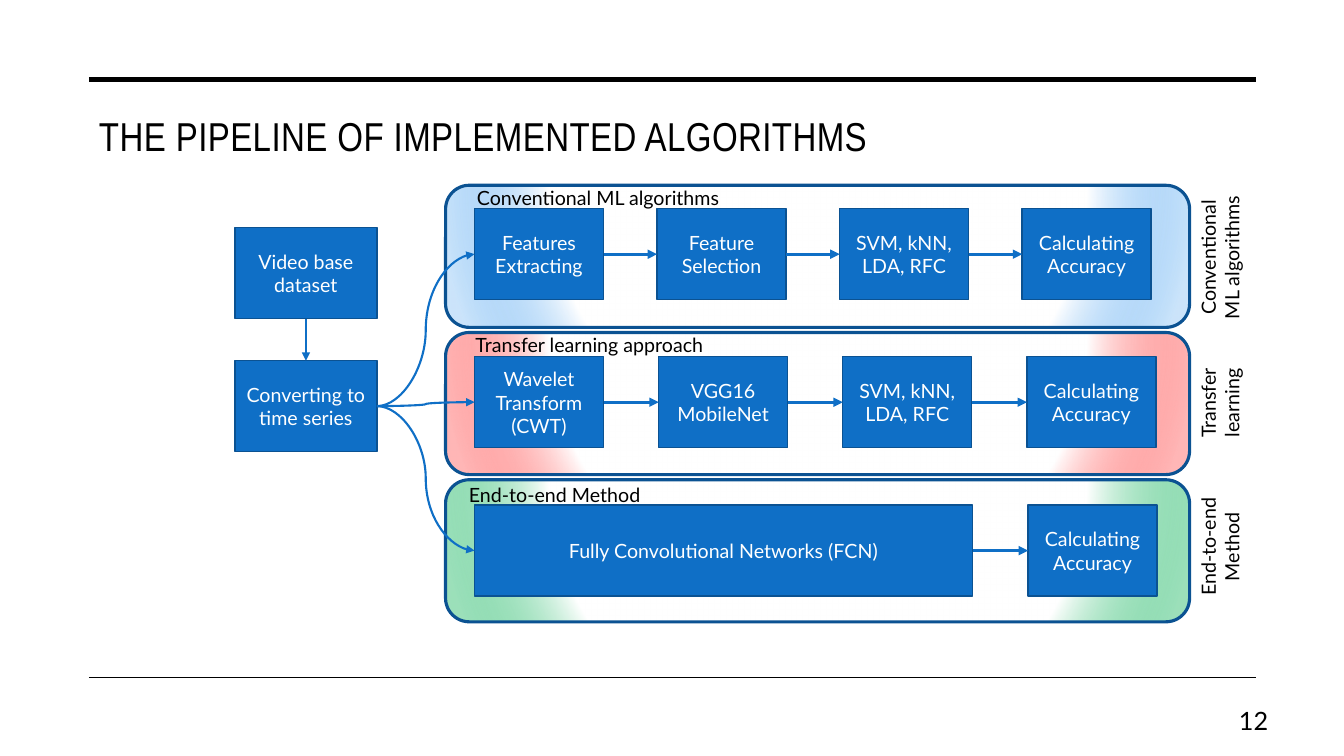
from pptx import Presentation
from pptx.dml.color import RGBColor
from pptx.enum.shapes import MSO_CONNECTOR, MSO_SHAPE
from pptx.enum.text import MSO_ANCHOR, MSO_AUTO_SIZE, PP_ALIGN
from pptx.oxml import parse_xml
from pptx.oxml.ns import nsdecls, qn
from pptx.oxml.xmlchemy import OxmlElement
from pptx.util import Cm, Pt

STRAIGHT, CURVE = MSO_CONNECTOR.STRAIGHT, MSO_CONNECTOR.CURVE
RECT, ROUNDED = MSO_SHAPE.RECTANGLE, MSO_SHAPE.ROUNDED_RECTANGLE
TOP, MIDDLE = MSO_ANCHOR.TOP, MSO_ANCHOR.MIDDLE
LEFT, CENTER, RIGHT = PP_ALIGN.LEFT, PP_ALIGN.CENTER, PP_ALIGN.RIGHT
SIDE_TOP, SIDE_LEFT, SIDE_BOTTOM, SIDE_RIGHT = range(4)

COLORS = {
    "black": "000000", "white": "FFFFFF", "step": "0F6FC6", "outline": "0B5292",
    "blue": "258FEE", "red": "FF1F1F", "green": "00B050",
}
TITLE = "THE PIPELINE OF IMPLEMENTED ALGORITHMS"
PAGE = "12"
SOURCES = [("Video base dataset", 5.74), ("Converting to time series", 9.09)]
LANES = [
    {
        "tint": ("blue", 23), "step_top": 5.26, "pitch": 4.6,
        "caption": ("Conventional ML algorithms", 11.53, 4.55, 7.09),
        "side": (["Conventional", "ML algorithms"], 6.49, 3.84),
        "steps": [("Features Extracting", 1), ("Feature Selection", 1),
                  ("SVM, kNN, LDA, RFC", 1), ("Calculating Accuracy", 1)],
    },
    {
        "tint": ("red", 32), "step_top": 8.99, "pitch": 4.64,
        "caption": ("Transfer learning approach", 11.4, 8.26, 6.91),
        "side": (["Transfer", "learning"], 10.15, 2.39),
        "steps": [("Wavelet Transform (CWT)", 1), ("VGG16\nMobileNet", 1),
                  ("SVM, kNN, LDA, RFC", 1), ("Calculating Accuracy", 1)],
    },
    {
        "tint": ("green", 39), "step_top": 12.73, "pitch": 4.65,
        "caption": ("End-to-end Method", 10.97, 12.04, 6.02),
        "side": (["End-to-end", "Method"], 13.78, 3.02),
        "steps": [("Fully Convolutional Networks (FCN)", 3),
                  ("Calculating Accuracy", 1)],
    },
]
RULES = [(2.01, 3.5), (17.07, 1)]
RULE_LEFT, RULE_RIGHT = 2.24, 31.65
PANEL_LEFT, PANEL_TOP, PANEL_PITCH = 11.23, 4.67, 3.71
PANEL_WIDTH, PANEL_HEIGHT = 18.75, 3.58
STEP_LEFT, STEP_WIDTH, STEP_HEIGHT = 11.96, 3.25, 2.29
SOURCE_LEFT, SOURCE_WIDTH = 5.92, 3.58
SIDE_CENTER, SIDE_HEIGHT, CAPTION_HEIGHT = 30.75, 1.45, 0.86


def rgb(name):
    return RGBColor.from_string(COLORS[name])


def write(frame, lines, color="black", size=14, align=CENTER, anchor=TOP,
          font="Lato", wrap=True):
    frame.word_wrap = wrap
    frame.vertical_anchor = anchor
    for index, line in enumerate(lines):
        paragraph = frame.paragraphs[0] if index == 0 else frame.add_paragraph()
        paragraph.alignment = align
        run = paragraph.add_run()
        run.text = line
        run.font.name = font
        run.font.size = Pt(size)
        run.font.color.rgb = rgb(color)
    return frame


def add_label(slide, lines, left, top, width, height, **style):
    label = slide.shapes.add_textbox(Cm(left), Cm(top), Cm(width), Cm(height))
    write(label.text_frame, lines, **style)
    return label


def add_box(slide, kind, left, top, width, height, weight):
    box = slide.shapes.add_shape(kind, Cm(left), Cm(top), Cm(width), Cm(height))
    box.shadow.inherit = False
    box.line.color.rgb = rgb("outline")
    box.line.width = Pt(weight)
    return box


def add_step(slide, text, left, top, width):
    step = add_box(slide, RECT, left, top, width, STEP_HEIGHT, 1)
    step.fill.solid()
    step.fill.fore_color.rgb = rgb("step")
    write(step.text_frame, text.split("\n"), color="white", anchor=MIDDLE)
    return step


def add_panel(slide, top, tint, opacity):
    panel = add_box(slide, ROUNDED, PANEL_LEFT, top, PANEL_WIDTH, PANEL_HEIGHT, 2.25)
    panel.fill.background()
    white = f'<a:srgbClr val="{COLORS["white"]}"/>'
    gradient = parse_xml(
        f'<a:gradFill {nsdecls("a")} rotWithShape="1"><a:gsLst>'
        f'<a:gs pos="0">{white}</a:gs><a:gs pos="71000">{white}</a:gs>'
        f'<a:gs pos="100000"><a:srgbClr val="{COLORS[tint]}">'
        f'<a:alpha val="{opacity * 1000}"/></a:srgbClr></a:gs></a:gsLst>'
        '<a:path path="circle"><a:fillToRect l="50000" t="-80000" r="50000" '
        'b="180000"/></a:path></a:gradFill>')
    properties = panel.element.spPr
    properties.replace(properties.find(qn("a:noFill")), gradient)


def add_line(slide, kind, color, weight, ends=(0, 0, 0, 0)):
    line = slide.shapes.add_connector(kind, *(Cm(end) for end in ends))
    line.line.color.rgb = rgb(color)
    line.line.width = Pt(weight)
    line.element.spPr.append(OxmlElement("a:effectLst"))
    return line


def add_arrow(slide, start, start_side, end, end_side, weight, kind=STRAIGHT):
    arrow = add_line(slide, kind, "step", weight)
    arrow.begin_connect(start, start_side)
    arrow.end_connect(end, end_side)
    head = OxmlElement("a:tailEnd")
    head.set("type", "triangle")
    arrow.element.spPr.find(qn("a:ln")).append(head)


def add_lane(slide, index, lane):
    add_panel(slide, PANEL_TOP + index * PANEL_PITCH, *lane["tint"])
    steps, column = [], 0
    for text, span in lane["steps"]:
        left = STEP_LEFT + column * lane["pitch"]
        width = STEP_WIDTH + (span - 1) * lane["pitch"]
        steps.append(add_step(slide, text, left, lane["step_top"], width))
        column += span
    for start, end in zip(steps, steps[1:]):
        add_arrow(slide, start, SIDE_RIGHT, end, SIDE_LEFT, 2.25)
    caption, left, top, width = lane["caption"]
    add_label(slide, [caption], left, top, width, CAPTION_HEIGHT)
    lines, middle, length = lane["side"]
    side = add_label(slide, lines, SIDE_CENTER - length / 2, middle - SIDE_HEIGHT / 2,
                     length, SIDE_HEIGHT, wrap=False)
    side.rotation = 270
    return steps[0]


def main():
    deck = Presentation()
    deck.slide_width, deck.slide_height = Cm(33.87), Cm(19.05)
    slide = deck.slides.add_slide(deck.slide_layouts[5])

    title = slide.shapes.title
    title.left, title.top, title.width, title.height = Cm(2.24), Cm(2.67), Cm(21.11), Cm(2.72)
    frame = write(title.text_frame, [TITLE], size=28.8, align=LEFT, font="Arial Narrow")
    frame.auto_size = MSO_AUTO_SIZE.NONE
    frame.paragraphs[0].runs[0].font._element.set("spc", "30")

    for height, weight in RULES:
        add_line(slide, STRAIGHT, "black", weight, (RULE_LEFT, height, RULE_RIGHT, height))

    first_steps = [add_lane(slide, index, lane) for index, lane in enumerate(LANES)]
    video, series = [add_step(slide, text, SOURCE_LEFT, top, SOURCE_WIDTH)
                     for text, top in SOURCES]
    add_arrow(slide, video, SIDE_BOTTOM, series, SIDE_TOP, 1.5)
    for step in first_steps:
        add_arrow(slide, series, SIDE_RIGHT, step, SIDE_LEFT, 1.5, CURVE)

    add_label(slide, [PAGE], 30.33, 17.65, 1.88, 1.02, size=18, align=RIGHT, anchor=MIDDLE)
    deck.save("out.pptx")


if __name__ == "__main__":
    main()
